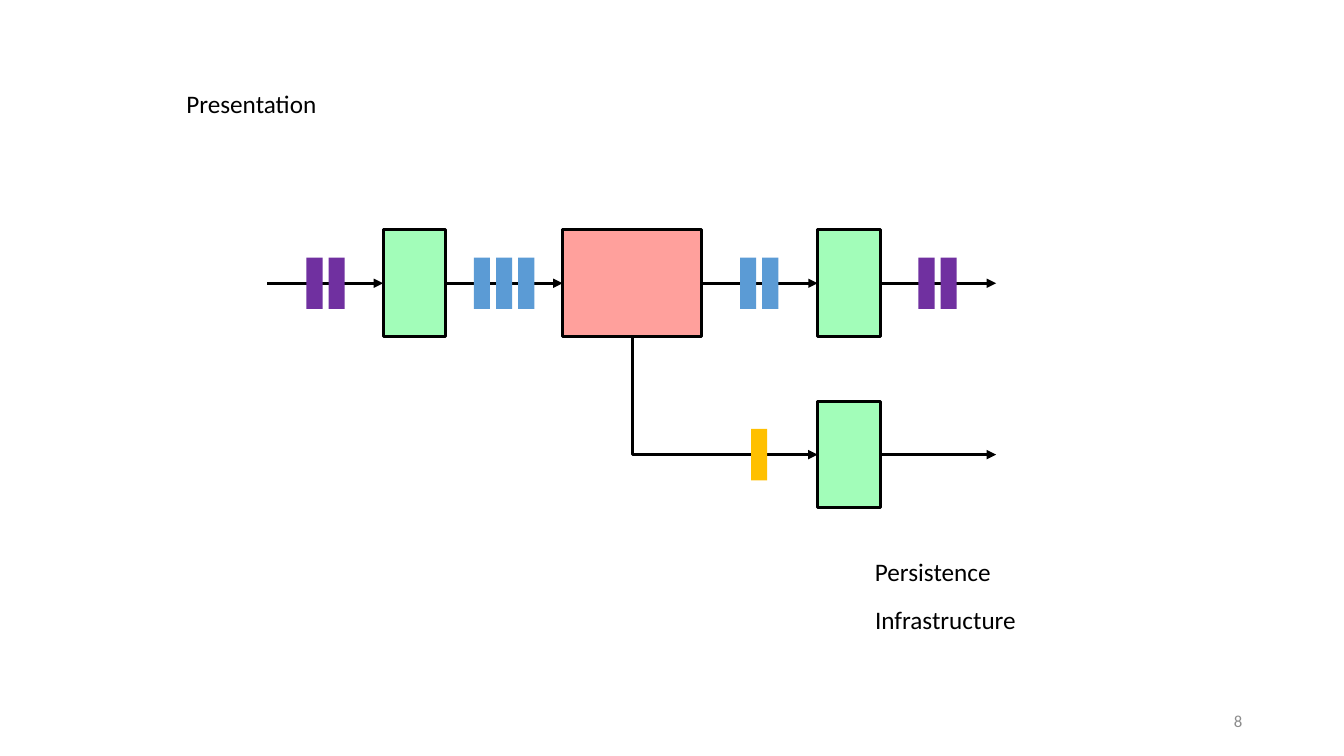
"""Build a slide of a message pipeline with a branch to persistence."""
from typing import NamedTuple, Optional

from lxml import etree
from pptx import Presentation
from pptx import util as u
from pptx.dml import color
from pptx.enum import shapes, text
from pptx.oxml import ns

HUE = {"line": "000000", "gate": "A2FDB9", "hub": "FFA09C", "page": "8C8C8C",
       "blue": "5B9BD5", "plum": "7030A0", "gold": "FFC000"}
HIGH, LOW = 2.81, 4.51
TALL = 1.06
BAR, STEP, RISE = 0.16, 0.22, 0.51
TOP, LEFT, BASE, RIGHT = range(4)


class Box(NamedTuple):
    left: float
    mid: float
    width: float
    hue: str


class Queue(NamedTuple):
    left: float
    mid: float
    count: int
    hue: str


class Link(NamedTuple):
    start: float
    end: float
    mid: float
    tail: Optional[str]
    head: Optional[str]


BOXES = {
    "hub": Box(5.58, HIGH, 1.38, "hub"),
    "in": Box(3.8, HIGH, 0.62, "gate"),
    "out": Box(8.11, HIGH, 0.62, "gate"),
    "store": Box(8.11, LOW, 0.62, "gate"),
}
LINKS = [
    Link(2.65, 3.8, HIGH, None, "in"),
    Link(4.42, 5.58, HIGH, "in", "hub"),
    Link(6.96, 8.11, HIGH, "hub", "out"),
    Link(8.73, 9.88, HIGH, "out", None),
    Link(8.73, 9.88, LOW, "store", None),
]
QUEUES = [
    Queue(4.7, HIGH, 3, "blue"),
    Queue(7.34, HIGH, 2, "blue"),
    Queue(3.04, HIGH, 2, "plum"),
    Queue(9.11, HIGH, 2, "plum"),
    Queue(7.45, LOW, 1, "gold"),
]


def tint(name: str) -> color.RGBColor:
    return color.RGBColor.from_string(HUE[name])


def block(slide, left: float, mid: float, width: float, height: float,
          hue: str, edge: bool = False):
    rect = slide.shapes.add_shape(
        shapes.MSO_SHAPE.RECTANGLE, u.Inches(left), u.Inches(mid - height / 2),
        u.Inches(width), u.Inches(height))
    rect.shadow.inherit = False
    rect.fill.solid()
    rect.fill.fore_color.rgb = tint(hue)
    if edge:
        rect.line.color.rgb = tint("line")
        rect.line.width = u.Pt(2.25)
    else:
        rect.line.fill.background()
    return rect


def arrow(slide, kind, x1: float, y1: float, x2: float, y2: float):
    wire = slide.shapes.add_connector(
        kind, u.Inches(x1), u.Inches(y1), u.Inches(x2), u.Inches(y2))
    wire.line.color.rgb = tint("line")
    wire.line.width = u.Pt(2.25)
    etree.SubElement(wire.line._get_or_add_ln(), ns.qn("a:tailEnd"), type="triangle")
    etree.SubElement(wire.element.spPr, ns.qn("a:effectLst"))
    return wire


def branch(slide, hub, store) -> None:
    x1, y1, x2, y2 = 6.27, HIGH + TALL / 2, 8.11, LOW
    wire = arrow(slide, shapes.MSO_CONNECTOR.ELBOW, x1, y1, x2, y2)
    wire.begin_connect(hub, BASE)
    wire.end_connect(store, LEFT)
    wide, deep = x2 - x1, y2 - y1
    wire.left = u.Inches((x1 + x2 - deep) / 2)
    wire.top = u.Inches((y1 + y2 - wide) / 2)
    wire.width, wire.height = u.Inches(deep), u.Inches(wide)
    props = wire.element.spPr
    frame = props.find(ns.qn("a:xfrm"))
    frame.set("rot", str(270 * 60000))
    frame.set("flipH", "1")
    props.find(ns.qn("a:prstGeom")).set("prst", "bentConnector2")


def label(slide, words: str, *, left: float, top: float, width: float,
          size: int = 18, hue: str = "line", align=text.PP_ALIGN.LEFT,
          anchor=text.MSO_ANCHOR.TOP, wrap: bool = False) -> None:
    area = slide.shapes.add_textbox(
        u.Inches(left), u.Inches(top), u.Inches(width), u.Inches(0.4))
    frame = area.text_frame
    frame.word_wrap = wrap
    frame.vertical_anchor = anchor
    para = frame.paragraphs[0]
    para.alignment = align
    run = para.add_run()
    run.text = words
    run.font.name = "Calibri"
    run.font.size = u.Pt(size)
    run.font.color.rgb = tint(hue)


def main() -> None:
    deck = Presentation()
    deck.slide_width, deck.slide_height = u.Inches(13.33), u.Inches(7.5)
    slide = deck.slides.add_slide(deck.slide_layouts[6])

    label(slide, "8", left=9.42, top=6.95, width=3, size=12, hue="page",
          align=text.PP_ALIGN.RIGHT, anchor=text.MSO_ANCHOR.MIDDLE, wrap=True)
    nodes = {name: block(slide, box.left, box.mid, box.width, TALL, box.hue, edge=True)
             for name, box in BOXES.items()}
    for link in LINKS:
        wire = arrow(slide, shapes.MSO_CONNECTOR.STRAIGHT,
                     link.start, link.mid, link.end, link.mid)
        if link.tail:
            wire.begin_connect(nodes[link.tail], RIGHT)
        if link.head:
            wire.end_connect(nodes[link.head], LEFT)
    branch(slide, nodes["hub"], nodes["store"])
    for queue in QUEUES:
        for i in range(queue.count):
            block(slide, queue.left + i * STEP, queue.mid, BAR, RISE, queue.hue)
    label(slide, "Presentation", left=1.75, top=0.83, width=1.51)
    label(slide, "Persistence", left=8.58, top=5.47, width=1.36)
    label(slide, "Infrastructure", left=8.58, top=5.95, width=1.61)
    deck.save("out.pptx")


if __name__ == "__main__":
    main()
